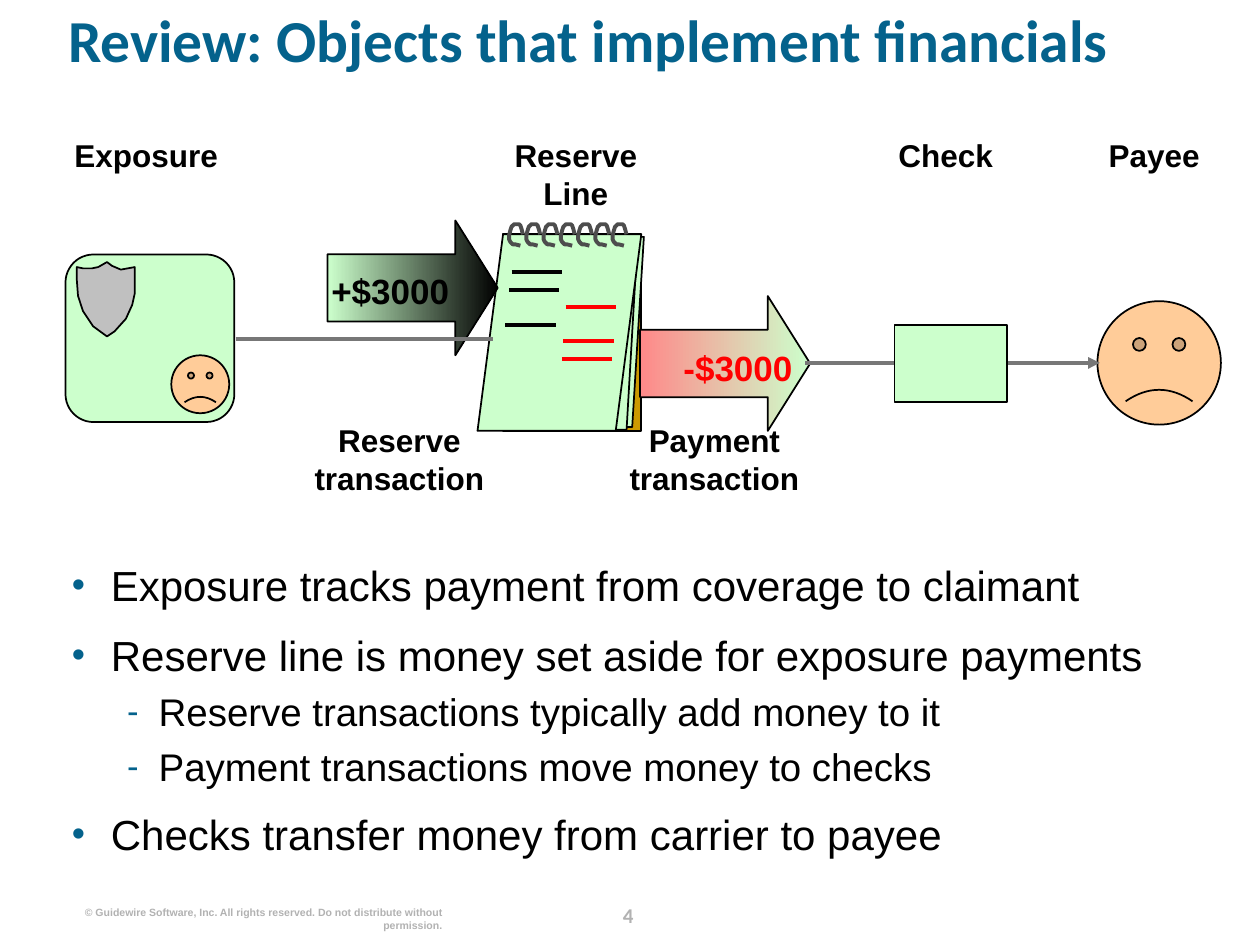
from dataclasses import dataclass

from lxml import etree
from pptx import Presentation
from pptx.dml.color import RGBColor
from pptx.enum.shapes import MSO_CONNECTOR, MSO_SHAPE as Preset
from pptx.enum.text import MSO_ANCHOR as Anchor, PP_ALIGN as Align
from pptx.oxml.ns import qn
from pptx.util import Inches, Pt


@dataclass(frozen=True)
class Theme:
    blue: str = "04628C"
    black: str = "000000"
    red: str = "FF0000"
    pink: str = "FF8989"
    mint: str = "CCFFCC"
    skin: str = "FFCC99"
    gold: str = "CC9900"
    silver: str = "C0C0C0"
    coil: str = "4D4D4D"
    flow: str = "777777"
    footer: str = "B2B2B2"
    title_size: int = 34
    bullet_size: int = 24
    sub_size: int = 22
    amount_size: int = 20
    label_size: int = 18
    number_size: int = 12
    copyright_size: int = 6
    outline: float = 1
    stroke: float = 2.25


theme = Theme()


def write(frame, text, size, color, align=Align.LEFT, bold=True, face="Arial", anchor=Anchor.TOP):
    layout = dict(word_wrap=True, vertical_anchor=anchor,
                  margin_left=0, margin_right=0, margin_top=0, margin_bottom=0)
    for name, value in layout.items():
        setattr(frame, name, value)
    frame.text = text
    for paragraph in frame.paragraphs:
        paragraph.alignment = align
        for run in paragraph.runs:
            for name, value in dict(name=face, size=Pt(size), bold=bold).items():
                setattr(run.font, name, value)
            run.font.color.rgb = RGBColor.from_string(color)


def paint(shape, fills, line=theme.black, width=theme.outline):
    shape.shadow.inherit = False
    if len(fills) == 2:
        shape.fill.gradient()
        shape.fill.gradient_angle = 0
        for stop, color in zip(shape.fill.gradient_stops, fills):
            stop.color.rgb = RGBColor.from_string(color)
    elif fills:
        shape.fill.solid()
        shape.fill.fore_color.rgb = RGBColor.from_string(fills[0])
    else:
        shape.fill.background()
    shape.line.color.rgb = RGBColor.from_string(line)
    shape.line.width = Pt(width)


prs = Presentation()
prs.slide_width, prs.slide_height = Inches(10), Inches(7.5)
slide = prs.slides.add_slide(prs.slide_layouts[5])
shapes = slide.shapes

title = shapes.title
title_place = dict(left=0.54, top=0.13, width=9.1, height=0.81)
for name, value in title_place.items():
    setattr(title, name, Inches(value))
write(title.text_frame, "Review: Objects that implement financials",
      theme.title_size, theme.blue, face="Calibri")
title.text_frame.paragraphs[0].line_spacing = 0.8

objects = [
    (Preset.ROUNDED_RECTANGLE, (0.52, 2.02, 1.34, 1.33), [0.167], [theme.mint]),
    (Preset.SMILEY_FACE, (1.36, 2.82, 0.46, 0.46), [-0.047], [theme.skin]),
    (Preset.SMILEY_FACE, (8.71, 2.39, 0.98, 0.98), [-0.047], [theme.skin]),
    (Preset.RECTANGLE, (3.99, 1.86, 1.1, 1.56), [], [theme.gold]),
    (Preset.PARALLELOGRAM, (3.92, 1.88, 1.19, 1.51), [0.078], [theme.mint]),
    (Preset.PARALLELOGRAM, (3.94, 1.9, 1.12, 1.51), [0.078], [theme.mint]),
    (Preset.PARALLELOGRAM, (3.79, 1.86, 1.3, 1.56), [0.156], [theme.mint]),
    (Preset.RIGHT_ARROW, (2.6, 1.75, 1.35, 1.07), [0.5, 0.314], [theme.mint, theme.black]),
    (Preset.RIGHT_ARROW, (5.08, 2.35, 1.35, 1.07), [0.5, 0.314], [theme.pink, theme.mint]),
]
for preset, place, adjustments, fills in objects:
    item = shapes.add_shape(preset, *map(Inches, place))
    for index, value in enumerate(adjustments):
        item.adjustments[index] = value
    paint(item, fills)

shield_points = [
    (0.85, 2.67), (0.74, 2.59), (0.66, 2.47), (0.62, 2.35), (0.61, 2.22), (0.61, 2.12),
    (0.66, 2.13), (0.73, 2.13), (0.78, 2.12), (0.85, 2.08), (0.89, 2.11), (0.96, 2.14),
    (1.07, 2.12), (1.07, 2.33), (1.05, 2.42), (1, 2.53), (0.91, 2.63),
]
shield_points = [(Inches(x), Inches(y)) for x, y in shield_points]
outline = shapes.build_freeform(*shield_points[0])
outline.add_line_segments(shield_points[1:], close=True)
paint(outline.convert_to_shape(), [theme.silver])

coil_points = [
    (0.11, 0.08), (0.1, 0.04), (0.09, 0.01), (0.08, 0), (0.06, 0), (0.04, 0), (0.02, 0.02),
    (0.01, 0.05), (0, 0.09), (0, 0.12), (0.01, 0.14), (0.03, 0.16), (0.05, 0.16), (0.09, 0.17),
]
coil_count, coil_pitch = 7, 0.137
for index in range(coil_count):
    left = 4.04 + index * coil_pitch
    points = [(Inches(left + x), Inches(1.78 + y)) for x, y in coil_points]
    outline = shapes.build_freeform(*points[0])
    outline.add_line_segments(points[1:], close=False)
    paint(outline.convert_to_shape(), [], theme.coil, theme.stroke)

entries = [
    (4.06, 2.16, theme.black), (4.04, 2.3, theme.black), (4.49, 2.44, theme.red),
    (4.01, 2.58, theme.black), (4.47, 2.71, theme.red), (4.46, 2.85, theme.red),
]
entry_width = 0.4
lines = [(x, x + entry_width, y, color, False) for x, y, color in entries]
lines += [(1.87, 3.91, 2.69, theme.flow, False), (6.39, 8.73, 2.88, theme.flow, True)]
for start, end, y, color, has_arrow in lines:
    link = shapes.add_connector(MSO_CONNECTOR.STRAIGHT, *map(Inches, (start, y, end, y)))
    link.line.color.rgb = RGBColor.from_string(color)
    link.line.width = Pt(theme.stroke)
    properties = link.line._get_or_add_ln()
    if has_arrow:
        etree.SubElement(properties, qn("a:tailEnd"), type="triangle")
    etree.SubElement(properties.getparent(), qn("a:effectLst"))

check = shapes.add_shape(Preset.RECTANGLE, *map(Inches, (7.1, 2.58, 0.89, 0.61)))
paint(check, [theme.mint])

label = dict(size=theme.label_size, color=theme.black, align=Align.CENTER)
amount = dict(size=theme.amount_size)
texts = [
    ("Exposure", (0.44, 1.08, 1.44, 0.3), label),
    ("Reserve\vLine", (3.85, 1.08, 1.44, 0.6), label),
    ("Check", (6.98, 1.08, 1.05, 0.3), label),
    ("Payee", (8.6, 1.08, 1.12, 0.3), label),
    ("Reserve transaction", (2.45, 3.34, 1.44, 0.6), label),
    ("Payment transaction", (4.95, 3.34, 1.44, 0.6), label),
    ("+$3000", (2.63, 2.14, 1.07, 0.33), dict(amount, color=theme.black)),
    ("-$3000", (5.18, 2.75, 1.11, 0.33), dict(amount, color=theme.red, align=Align.RIGHT)),
    ("© Guidewire Software, Inc. All rights reserved. Do not distribute without permission.",
     (0.61, 7.19, 2.9, 0.2),
     dict(size=theme.copyright_size, color=theme.footer, align=Align.RIGHT)),
    ("4", (4.7, 7.14, 0.57, 0.25),
     dict(size=theme.number_size, color=theme.footer, align=Align.CENTER,
          face="Calibri", anchor=Anchor.MIDDLE)),
]
for text, place, style in texts:
    write(shapes.add_textbox(*map(Inches, place)).text_frame, text, **style)

points = [
    (0, "Exposure tracks payment from coverage to claimant"),
    (0, "Reserve line is money set aside for exposure payments"),
    (1, "Reserve transactions typically add money to it"),
    (1, "Payment transactions move money to checks"),
    (0, "Checks transfer money from carrier to payee"),
]
levels = [("•", 0.31, 0.31, 11, theme.bullet_size), ("-", 0.69, 0.25, 5, theme.sub_size)]
review = shapes.add_textbox(*map(Inches, (0.57, 4.44, 9.1, 2.55))).text_frame
write(review, "\n".join(text for _, text in points), theme.bullet_size, theme.black, bold=False)
for index, (paragraph, (level, _)) in enumerate(zip(review.paragraphs, points)):
    mark, margin, hanging, gap, size = levels[level]
    properties = paragraph._p.get_or_add_pPr()
    properties.set("marL", str(Inches(margin)))
    properties.set("indent", str(-Inches(hanging)))
    mark_color = etree.SubElement(properties, qn("a:buClr"))
    etree.SubElement(mark_color, qn("a:srgbClr"), val=theme.blue)
    etree.SubElement(properties, qn("a:buSzPct"), val="90000")
    etree.SubElement(properties, qn("a:buFont"), typeface="Arial")
    etree.SubElement(properties, qn("a:buChar"), char=mark)
    paragraph.level = level
    paragraph.space_before = Pt(gap if index else 0)
    paragraph.runs[0].font.size = Pt(size)

prs.save("out.pptx")
